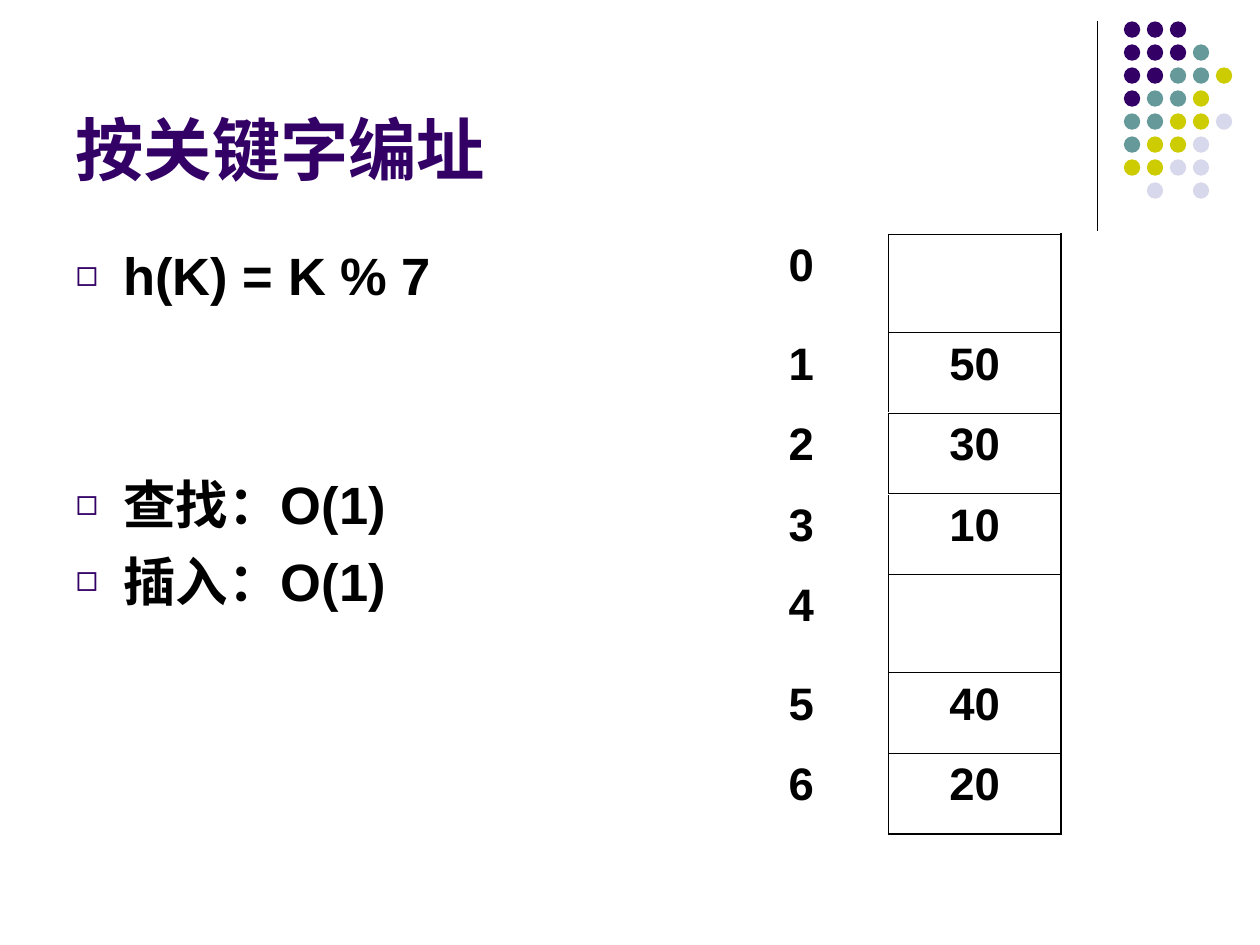
"""Builds a slide on addressing by key, with a seven-slot hash table."""
from lxml import etree
from pptx import Presentation
from pptx.dml.color import RGBColor
from pptx.enum.shapes import MSO_CONNECTOR, MSO_SHAPE
from pptx.enum.text import MSO_ANCHOR, PP_ALIGN
from pptx.oxml.ns import qn
from pptx.util import Inches, Pt

STRAIGHT = MSO_CONNECTOR.STRAIGHT
OVAL = MSO_SHAPE.OVAL
BOTTOM = MSO_ANCHOR.BOTTOM
TOP = MSO_ANCHOR.TOP
LEFT = PP_ALIGN.LEFT
CENTER = PP_ALIGN.CENTER

COLORS = {"purple": "330066", "teal": "669999", "olive": "CCCC00",
          "lilac": "D8D8EC", "black": "000000"}
DOT_COLORS = {"P": "purple", "T": "teal", "O": "olive", "L": "lilac"}
DOT_ROWS = ["PPP", "PPPT", "PPTTO", "PTTO", "TTOOL", "TOOL", "OOLL", " L L"]
DOT_SIZE = Inches(0.13)
DOT_PITCH = Inches(0.73) / 4

POINTS = [("h(K) = K % 7", 0), ("查找：O(1)", 95), ("插入：O(1)", 7.5)]
SLOTS = ["", "50", "30", "10", "", "40", "20"]


def format_paragraph(paragraph, size, color, alignment):
    paragraph.alignment = alignment
    formats = {"name": "Arial", "size": Pt(size), "bold": True}
    for attribute, value in formats.items():
        setattr(paragraph.font, attribute, value)
    paragraph.font.color.rgb = RGBColor.from_string(COLORS[color])


def add_border(cell, side, width):
    border = etree.SubElement(cell._tc.get_or_add_tcPr(), qn(f"a:{side}"), w=str(Pt(width)))
    fill = etree.SubElement(border, qn("a:solidFill"))
    etree.SubElement(fill, qn("a:srgbClr"), val=COLORS["black"])


prs = Presentation()
prs.slide_width, prs.slide_height = Inches(10), Inches(7.5)
slide = prs.slides.add_slide(prs.slide_layouts[1])

divider = slide.shapes.add_connector(
    STRAIGHT, Inches(8.71), Inches(0.17), Inches(8.71), Inches(1.83))
divider.line.color.rgb = RGBColor.from_string(COLORS["black"])
divider.line.width = Pt(0.75)
etree.SubElement(divider._element.spPr, qn("a:effectLst"))

dot_pattern = slide.shapes.add_group_shape()
for row, codes in enumerate(DOT_ROWS):
    for column, code in enumerate(codes):
        if code in DOT_COLORS:
            dot = dot_pattern.shapes.add_shape(
                OVAL, int(Inches(8.92) + column * DOT_PITCH),
                int(Inches(0.17) + row * DOT_PITCH), DOT_SIZE, DOT_SIZE)
            dot.shadow.inherit = False
            dot.fill.solid()
            dot.fill.fore_color.rgb = RGBColor.from_string(COLORS[DOT_COLORS[code]])
            dot.line.fill.background()

title = slide.shapes.title
body = slide.placeholders[1]
placements = [(title, (0.5, 0.13, 8.25, 1.42), BOTTOM),
              (body, (0.5, 1.88, 9, 4.82), TOP)]
for placeholder, box, anchor in placements:
    for attribute, length in zip(("left", "top", "width", "height"), box):
        setattr(placeholder, attribute, Inches(length))
    placeholder.text_frame.vertical_anchor = anchor

title.text_frame.text = "按关键字编址"
format_paragraph(title.text_frame.paragraphs[0], 39, "purple", LEFT)

body.text_frame.text = "\n".join(text for text, gap in POINTS)
for paragraph, (text, gap) in zip(body.text_frame.paragraphs, POINTS):
    paragraph.space_before = Pt(gap)
    properties = paragraph._p.get_or_add_pPr()
    properties.set("marL", str(Inches(0.38)))
    properties.set("indent", str(-Inches(0.38)))
    bullet_color = etree.SubElement(properties, qn("a:buClr"))
    etree.SubElement(bullet_color, qn("a:srgbClr"), val=COLORS["purple"])
    etree.SubElement(properties, qn("a:buSzPct"), val="70000")
    etree.SubElement(properties, qn("a:buChar"), char="◻")
    format_paragraph(paragraph, 30, "black", LEFT)

hash_table = slide.shapes.add_table(
    len(SLOTS), 2, Inches(5.67), Inches(1.86), Inches(2.75), Inches(4.78)).table
hash_table.first_row = False
hash_table.horz_banding = False
hash_table.columns[0].width = Inches(1.38)
hash_table.columns[1].width = Inches(1.37)
for index, key in enumerate(SLOTS):
    hash_table.rows[index].height = Inches(0.64 if key else 0.78)
    index_cell, key_cell = hash_table.cell(index, 0), hash_table.cell(index, 1)
    add_border(index_cell, "lnR", 0.45)
    add_border(key_cell, "lnL", 0.45)
    add_border(key_cell, "lnR", 1.08)
    add_border(key_cell, "lnT", 1.08 if index == 0 else 0.45)
    add_border(key_cell, "lnB", 1.08 if index == len(SLOTS) - 1 else 0.45)
    for cell, text in ((index_cell, str(index)), (key_cell, key)):
        cell.fill.background()
        cell.text = text
        format_paragraph(cell.text_frame.paragraphs[0], 26, "black", CENTER)

prs.save("out.pptx")
